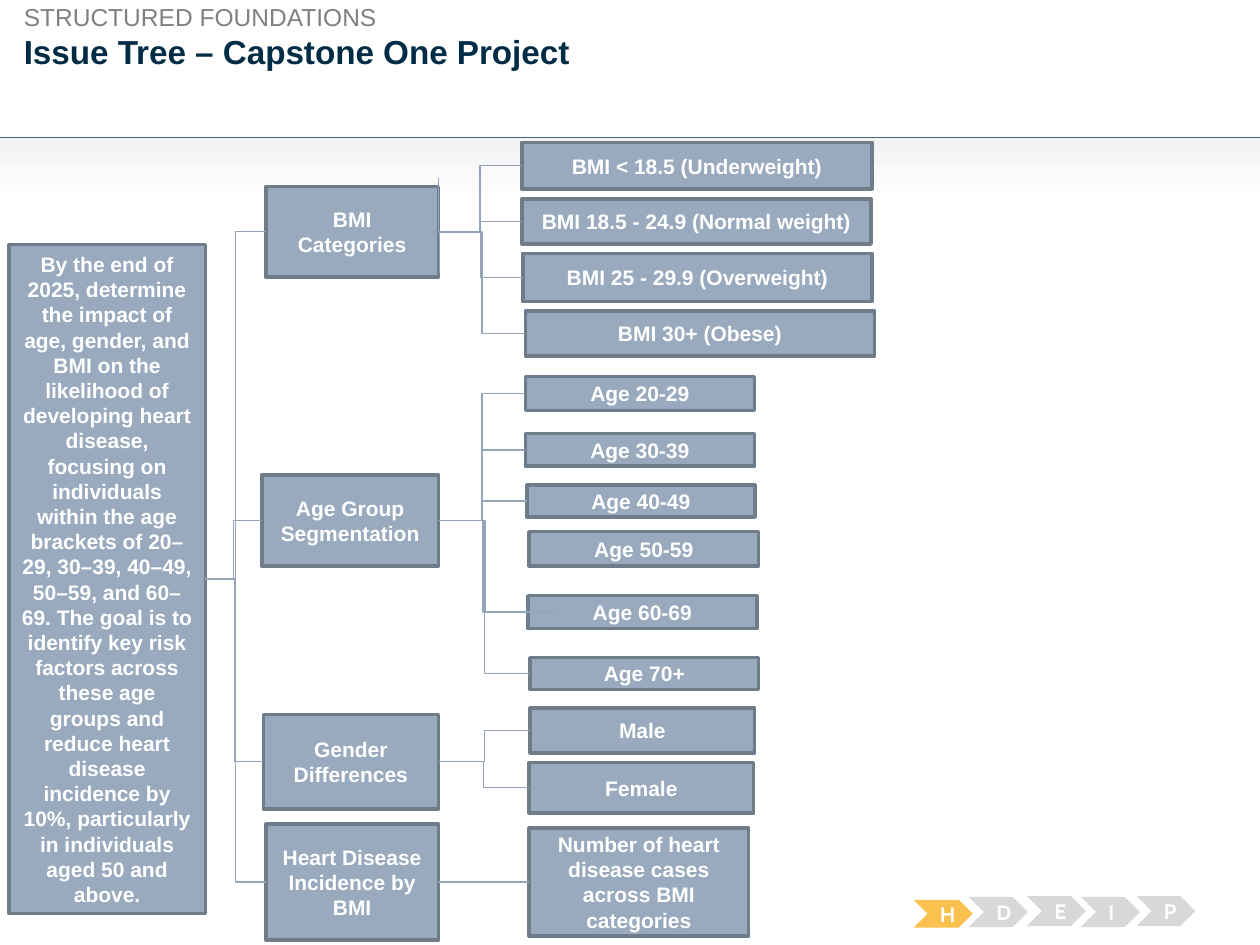
from lxml import etree
from pptx import Presentation
from pptx import util as u
from pptx.dml.color import RGBColor
from pptx.enum import shapes, text
from pptx.oxml.ns import qn

LEFT_SIDE, RIGHT_SIDE = 1, 3


def rgb(value):
    return RGBColor.from_string(value)


class IssueTree:
    BOX, BOX_EDGE, BRANCH = "99AABE", "6F7C8A", "94A5B9"
    WHITE, NAVY, GREY = "FFFFFF", "002C46", "808080"
    RULE, STEP, ACTIVE = "406085", "D8D8D8", "FBC14E"

    def __init__(self, slide):
        self.slide = slide

    def label(self, shape, words, color, align=None, **font_format):
        paragraph = shape.text_frame.paragraphs[0]
        paragraph.alignment = align
        run = paragraph.add_run()
        run.text = words
        values = {"name": "Arial", "size": u.Pt(12), "bold": True, **font_format}
        for name, value in values.items():
            setattr(run.font, name, value)
        run.font.color.rgb = rgb(color)

    def heading(self, shape, words, color, **font_format):
        values = {"margin_left": 0, "margin_top": 0, "margin_right": 0,
                  "margin_bottom": 0, "word_wrap": True,
                  "auto_size": text.MSO_AUTO_SIZE.NONE,
                  "vertical_anchor": text.MSO_ANCHOR.TOP}
        for name, value in values.items():
            setattr(shape.text_frame, name, value)
        self.label(shape, words, color, text.PP_ALIGN.LEFT, **font_format)

    def title(self, words, place):
        title = self.slide.shapes.title
        for name, value in zip(("left", "top", "width", "height"), place):
            setattr(title, name, u.Cm(value))
        self.heading(title, words, self.NAVY, size=u.Pt(19))

    def kicker(self, words, place):
        kicker = self.slide.shapes.add_textbox(*map(u.Cm, place))
        self.heading(kicker, words, self.GREY, size=u.Pt(14), bold=False)

    def shape(self, kind, place):
        shape = self.slide.shapes.add_shape(kind, *map(u.Cm, place))
        shape.shadow.inherit = False
        shape.line.fill.background()
        return shape

    def band(self, place):
        band = self.shape(shapes.MSO_SHAPE.RECTANGLE, place)
        band.fill.gradient()
        band.fill.gradient_angle = 270
        for stop, color, position in zip(band.fill.gradient_stops,
                                         ("F2F2F2", self.WHITE), (0, 1)):
            stop.color.rgb = rgb(color)
            stop.position = position

    def labelled(self, kind, words, place, fill, **font_format):
        shape = self.shape(kind, place)
        shape.fill.solid()
        shape.fill.fore_color.rgb = rgb(fill)
        shape.text_frame.word_wrap = True
        shape.text_frame.vertical_anchor = text.MSO_ANCHOR.MIDDLE
        self.label(shape, words, self.WHITE, text.PP_ALIGN.CENTER, **font_format)
        return shape

    def box(self, words, place):
        box = self.labelled(shapes.MSO_SHAPE.RECTANGLE, words, place, self.BOX)
        box.line.color.rgb = rgb(self.BOX_EDGE)
        box.line.width = u.Pt(2)
        return box

    def step(self, letter, place, fill):
        self.labelled(shapes.MSO_SHAPE.CHEVRON, letter, place, fill, name="Cabin")

    def line(self, ends, color=BRANCH, kind=shapes.MSO_CONNECTOR.STRAIGHT):
        line = self.slide.shapes.add_connector(kind, *map(u.Cm, ends))
        line.line.color.rgb = rgb(color)
        line.line.width = u.Pt(0.75)
        etree.SubElement(line._element.spPr, qn("a:effectLst"))
        return line

    def elbow(self, ends, bend=0.5):
        elbow = self.line(ends, kind=shapes.MSO_CONNECTOR.ELBOW)
        adjust = elbow._element.spPr.find(qn("a:prstGeom")).get_or_add_avLst()
        etree.SubElement(adjust, qn("a:gd"), name="adj1",
                         fmla=f"val {round(bend * 100000)}")
        return elbow

    def branch(self, parent, child):
        branch = self.elbow((0, 0, 1, 1))
        branch.begin_connect(parent, RIGHT_SIDE)
        branch.end_connect(child, LEFT_SIDE)


GOAL = (
    "By the end of 2025, determine the impact of age, gender, and BMI on the "
    "likelihood of developing heart disease, focusing on individuals within the "
    "age brackets of 20–29, 30–39, 40–49, 50–59, and 60–69. The goal is to "
    "identify key risk factors across these age groups and reduce heart disease "
    "incidence by 10%, particularly in individuals aged 50 and above.")

UNLINKED = "Age 50-59"

# Each branch: label, place in cm, leaves
BRANCHES = [
    ("BMI Categories", (5.36, 3.76, 3.48, 1.83), [
        ("BMI < 18.5 (Underweight)", (10.52, 2.87, 7.06, 0.94)),
        ("BMI 18.5 - 24.9 (Normal weight)", (10.52, 4.01, 7.04, 0.91)),
        ("BMI 25 - 29.9 (Overweight)", (10.54, 5.11, 7.04, 0.97)),
        ("BMI 30+ (Obese)", (10.59, 6.27, 7.04, 0.91))]),
    ("Age Group Segmentation", (5.28, 9.58, 3.56, 1.83), [
        ("Age 20-29", (10.59, 7.59, 4.62, 0.69)),
        ("Age 30-39", (10.59, 8.74, 4.62, 0.66)),
        ("Age 40-49", (10.62, 9.78, 4.6, 0.64)),
        (UNLINKED, (10.67, 10.72, 4.62, 0.69)),
        ("Age 60-69", (10.64, 12.01, 4.62, 0.66)),
        ("Age 70+", (10.69, 13.26, 4.6, 0.64))]),
    ("Gender Differences", (5.31, 14.4, 3.53, 1.91), [
        ("Male", (10.69, 14.27, 4.52, 0.91)),
        ("Female", (10.67, 15.37, 4.52, 1.02))]),
    ("Heart Disease Incidence by BMI", (5.36, 16.61, 3.48, 2.34), [
        ("Number of heart disease cases across BMI categories",
         (10.67, 16.69, 4.42, 2.18))]),
]

STEPS = [("H", 18.42, 18.14, 0.56), ("D", 19.53, 18.08, 0.61),
         ("E", 20.7, 18.06, 0.61), ("I", 21.79, 18.08, 0.61),
         ("P", 22.91, 18.06, 0.61)]


def main():
    deck = Presentation()
    deck.slide_width, deck.slide_height = u.Cm(25.4), u.Cm(19.05)
    tree = IssueTree(deck.slides.add_slide(deck.slide_layouts[5]))

    # Header
    tree.title("Issue Tree – Capstone One Project", (0.48, 0.64, 23.95, 0.84))
    tree.kicker("STRUCTURED FOUNDATIONS", (0.48, 0.05, 7.21, 0.61))
    tree.band((0, 2.77, 25.4, 1.32))
    tree.line((0, 2.77, 25.4, 2.77), tree.RULE)

    # Progress steps, the first one active
    for letter, left, top, height in STEPS:
        fill = tree.ACTIVE if letter == "H" else tree.STEP
        tree.step(letter, (left, top, 1.19, height), fill)

    # Goal, branches and leaves
    goal = tree.box(GOAL, (0.18, 4.93, 3.96, 13.49))
    for label, place, leaves in BRANCHES:
        topic = tree.box(label, place)
        tree.branch(goal, topic)
        for leaf_label, leaf_place in leaves:
            leaf = tree.box(leaf_label, leaf_place)
            if leaf_label != UNLINKED:
                tree.branch(topic, leaf)

    # Loose branch ends
    tree.elbow((8.84, 10.49, 11.18, 12.34), bend=0.4)
    tree.line((8.84, 3.58, 8.84, 4.67))
    tree.line((8.86, 4.67, 8.86, 5.51))

    deck.save("out.pptx")


if __name__ == "__main__":
    main()
